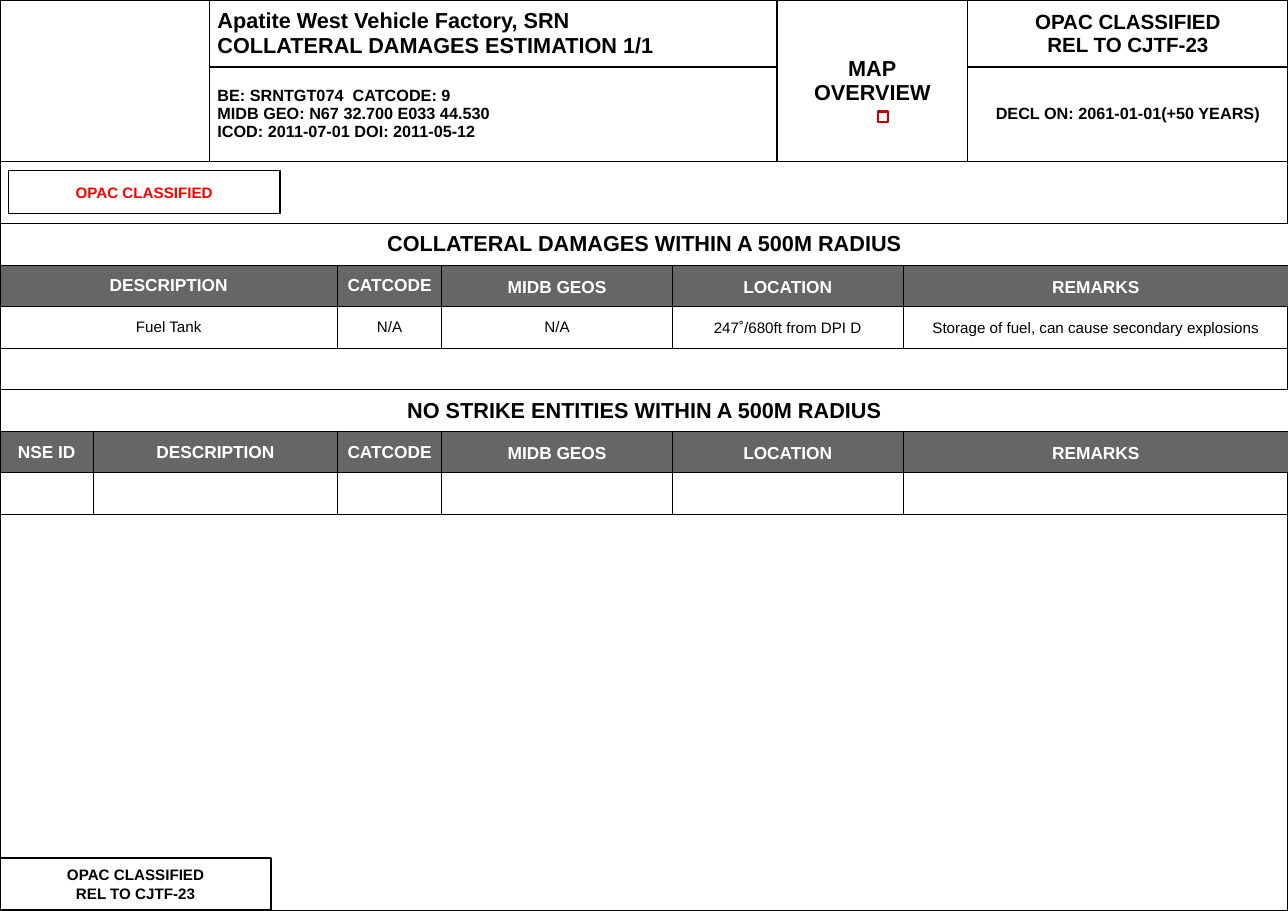
"""Build the collateral damages estimation sheet."""
from lxml.etree import SubElement
from pptx import Presentation
from pptx.dml.color import RGBColor
from pptx.enum.shapes import MSO_SHAPE as Shape
from pptx.enum.text import MSO_ANCHOR as Anchor, PP_ALIGN as Align
from pptx.oxml.ns import qn
from pptx.util import Pt

COLOURS = {"black": "000000", "white": "FFFFFF", "grey": "666666",
           "red": "FF0000", "marker": "C00000"}
FONT = "Arial"
INSET = 7.2
SLIDE_SIZE = (1190.2, 841.7)

# style: size, colour, bold, alignment, fill, line spacing
STYLES = {
    "heading": (20, "black", True, Align.LEFT, "white", None),
    "details": (15, "black", True, Align.LEFT, "white", None),
    "map": (20, "black", True, Align.CENTER, "white", None),
    "class": (19, "black", True, Align.CENTER, "white", None),
    "declassify": (15, "black", True, Align.CENTER, "white", None),
    "section": (20, "black", True, Align.CENTER, "white", None),
    "column": (16, "white", True, Align.CENTER, "grey", None),
    "column loose": (16, "white", True, Align.CENTER, "grey", 1.15),
    "value": (14, "black", False, Align.CENTER, None, None),
    "value loose": (14, "black", False, Align.CENTER, None, 1.15),
    "stamp": (14, "black", True, Align.CENTER, "white", None),
    "red stamp": (14, "red", True, Align.CENTER, "white", None),
}

MARKING = ["OPAC CLASSIFIED", "REL TO CJTF-23"]
COLUMNS = ["MIDB GEOS", "LOCATION", "REMARKS"]

HEADER = {
    "top": 0, "border": 1.5,
    "widths": [193.7, 524.2, 176.4, 295.9],
    "heights": [61.9, 87.1, 692.7],
    "merges": [(0, 0, 1, 0), (0, 2, 1, 2), (2, 0, 2, 3)],
    "cells": {
        (0, 1): ("heading", ["Apatite West Vehicle Factory, SRN",
                             "COLLATERAL DAMAGES ESTIMATION 1/1"]),
        (0, 2): ("map", ["MAP", "OVERVIEW"]),
        (0, 3): ("class", MARKING),
        (1, 1): ("details", ["BE: SRNTGT074  CATCODE: 9",
                             "MIDB GEO: N67 32.700 E033 44.530",
                             "ICOD: 2011-07-01 DOI: 2011-05-12"]),
        (1, 3): ("declassify", ["DECL ON: 2061-01-01(+50 YEARS)"]),
    },
}

DAMAGES = {
    "top": 206.6, "border": 0.75,
    "widths": [86.4, 225.4, 96.5, 213.1, 213.1, 356.4],
    "heights": [38.4] * 7,
    "merges": [(0, 0, 0, 5), (1, 0, 1, 1), (2, 0, 2, 1), (3, 0, 3, 5), (4, 0, 4, 5)],
    "cells": {
        (0, 0): ("section", ["COLLATERAL DAMAGES WITHIN A 500M RADIUS"]),
        (1, 0): ("column", ["DESCRIPTION"]),
        (2, 0): ("value", ["Fuel Tank"]),
        (2, 2): ("value", ["N/A"]),
        (2, 3): ("value", ["N/A"]),
        (2, 4): ("value loose", ["247˚/680ft from DPI D"]),
        (2, 5): ("value loose", ["Storage of fuel, can cause secondary explosions"]),
        (4, 0): ("section", ["NO STRIKE ENTITIES WITHIN A 500M RADIUS"]),
        (5, 0): ("column", ["NSE ID"]),
        (5, 1): ("column", ["DESCRIPTION"]),
    },
}
for row in (1, 5):
    DAMAGES["cells"][row, 2] = ("column", ["CATCODE"])
    for index, label in enumerate(COLUMNS, 3):
        DAMAGES["cells"][row, index] = ("column loose", [label])

# box: left, top, width, height, line colour, line width, style, lines
STAMPS = [
    (0, 792.7, 250.6, 48.2, "black", 1.5, "stamp", MARKING),
    (7.9, 157.7, 250.6, 39.6, "black", 1.5, "red stamp", MARKING[:1]),
]
MARKER = (811.4, 103, 9.4, 10.1, "marker", 2, None, [])


def rgb(name):
    return RGBColor.from_string(COLOURS[name])


def set_fill(fill, name):
    if name:
        fill.solid()
        fill.fore_color.rgb = rgb(name)
    else:
        fill.background()


def write(frame, style, lines):
    size, colour, bold, alignment, _, spacing = STYLES[style]
    for number, line in enumerate(lines):
        paragraph = frame.add_paragraph() if number else frame.paragraphs[0]
        paragraph.alignment = alignment
        if spacing:
            paragraph.line_spacing = spacing
        run = paragraph.add_run()
        run.text = line
        run.font.name, run.font.size, run.font.bold = FONT, Pt(size), bold
        run.font.color.rgb = rgb(colour)


def set_borders(cell, width):
    properties = cell._tc.get_or_add_tcPr()
    for side in ("a:lnL", "a:lnR", "a:lnT", "a:lnB"):
        line = SubElement(properties, qn(side), w=str(Pt(width)))
        solid = SubElement(line, qn("a:solidFill"))
        SubElement(solid, qn("a:srgbClr"), val=COLOURS["black"])


def add_grid(slide, grid):
    widths, heights, cells = grid["widths"], grid["heights"], grid["cells"]
    table = slide.shapes.add_table(
        len(heights), len(widths), 0, Pt(grid["top"]),
        Pt(sum(widths)), Pt(sum(heights))).table
    table.first_row = table.horz_banding = False
    for column, width in zip(table.columns, widths):
        column.width = Pt(width)
    for table_row, height in zip(table.rows, heights):
        table_row.height = Pt(height)
    for top, left, bottom, right in grid["merges"]:
        table.cell(top, left).merge(table.cell(bottom, right))
    for row_index in range(len(heights)):
        for column_index in range(len(widths)):
            cell = table.cell(row_index, column_index)
            style, lines = cells.get((row_index, column_index), (None, []))
            set_borders(cell, grid["border"])
            set_fill(cell.fill, STYLES[style][4] if style else None)
            cell.vertical_anchor = Anchor.MIDDLE
            cell.margin_left = cell.margin_right = Pt(INSET)
            cell.margin_top = cell.margin_bottom = Pt(INSET)
            write(cell.text_frame, style, lines) if style else None


def add_box(slide, left, top, width, height, colour, weight, style, lines):
    shape = slide.shapes.add_shape(
        Shape.RECTANGLE, Pt(left), Pt(top), Pt(width), Pt(height))
    shape.shadow.inherit = False
    set_fill(shape.fill, STYLES[style][4] if style else None)
    shape.line.color.rgb = rgb(colour)
    shape.line.width = Pt(weight)
    if style:
        frame = shape.text_frame
        frame.word_wrap = True
        frame.vertical_anchor = Anchor.MIDDLE
        frame.margin_left = frame.margin_right = Pt(INSET)
        frame.margin_top = frame.margin_bottom = Pt(INSET)
        write(frame, style, lines)


def main():
    presentation = Presentation()
    presentation.slide_width, presentation.slide_height = map(Pt, SLIDE_SIZE)
    slide = presentation.slides.add_slide(presentation.slide_layouts[6])
    add_grid(slide, HEADER)
    for stamp in STAMPS:
        add_box(slide, *stamp)
    add_grid(slide, DAMAGES)
    add_box(slide, *MARKER)
    presentation.save("out.pptx")


if __name__ == "__main__":
    main()
